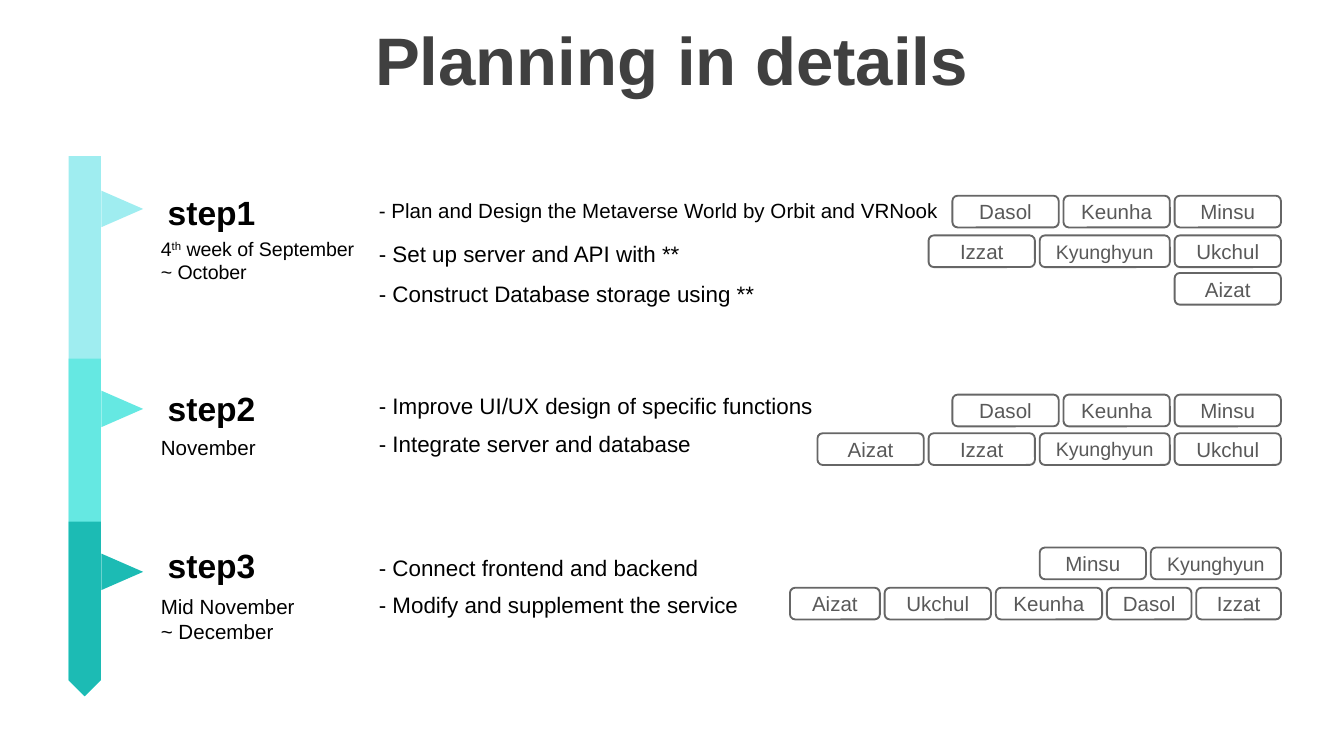
from pptx import Presentation
from pptx.dml.color import RGBColor
from pptx.enum.shapes import MSO_SHAPE
from pptx.enum.text import MSO_ANCHOR, PP_ALIGN
from pptx.util import Cm, Pt

COLORS = {
    "title": "404040", "text": "000000", "chip_fill": "FFFFFF",
    "chip_line": "666666", "chip_text": "595959",
    "light": "9FEDF0", "medium": "65E8E2", "dark": "1CBBB4",
}

# Vertical positions and sizes are in centimetres, font sizes in points.
# Each date line is a list of (words, is superscript); each task is (words, top, size);
# each chip row is (top, names), with a width after a name that is not the usual one.
TITLE = "Planning in details"
STEPS = [
    {
        "name": "step1", "top": 3.53, "color": "light", "bar": 10.21, "pointer": 3.95,
        "date": [[("4", False), ("th", True), (" week of September", False)],
                 [("~ October", False)]],
        "date_top": 4.45, "date_size": 10.5,
        "tasks": [
            ("- Plan and Design the Metaverse World by Orbit and VRNook", 3.51, 11),
            ("- Set up server and API with **", 4.32, 12),
            ("- Construct Database storage using **", 5.08, 12),
        ],
        "chip_rows": [
            (3.7, ["Dasol", "Keunha", "Minsu"]),
            (4.45, ["Izzat", "Kyunghyun", "Ukchul"]),
            (5.16, ["Aizat"]),
        ],
    },
    {
        "name": "step2", "top": 7.24, "color": "medium", "bar": 6.38, "pointer": 7.73,
        "date": [[("November", False)]],
        "date_top": 7.98, "date_size": 11,
        "tasks": [
            ("- Improve UI/UX design of specific functions", 7.19, 12),
            ("- Integrate server and database", 7.92, 12),
        ],
        "chip_rows": [
            (7.46, ["Dasol", "Keunha", "Minsu"]),
            (8.19, ["Aizat", "Izzat", "Kyunghyun", "Ukchul"]),
        ],
    },
    {
        "name": "step3", "top": 10.21, "color": "dark", "bar": 3.3, "pointer": 10.81,
        "date": [[("Mid November", False)], [("~ December", False)]],
        "date_top": 11.23, "date_size": 11,
        "tasks": [
            ("- Connect frontend and backend", 10.26, 12),
            ("- Modify and supplement the service", 10.95, 12),
        ],
        "chip_rows": [
            (10.35, ["Minsu", "Kyunghyun"]),
            (11.11, [("Aizat", 1.7), "Ukchul", "Keunha", ("Dasol", 1.6), ("Izzat", 1.6)]),
        ],
    },
]

BAR_CENTER, BAR_BOTTOM, BAR_WIDTH = 1.6, 13.16, 0.61
POINTER_CENTER, POINTER_BASE, POINTER_LENGTH = 2.31, 0.69, 0.79
STEP_LEFT, DATE_LEFT, TASK_LEFT = 2.92, 2.79, 6.91
LABEL_HEIGHT = 0.94
CHIP_RIGHT, CHIP_GAP, CHIP_HEIGHT, CHIP_WIDTH = 24.21, 0.09, 0.6, 2.01
LONG_NAME_WIDTH = 2.46

deck = Presentation()
deck.slide_width, deck.slide_height = Cm(25.4), Cm(14.29)
slide = deck.slides.add_slide(deck.slide_layouts[6])


def rgb(name):
    """Return the palette colour with this name."""
    return RGBColor.from_string(COLORS[name])


def write(shape, lines, size, color="text", bold=False, align=PP_ALIGN.LEFT, inset=None):
    """Fill a shape with lines made of (words, is superscript) pieces."""
    frame = shape.text_frame
    layout = {"word_wrap": True, "vertical_anchor": MSO_ANCHOR.MIDDLE}
    if inset is not None:
        layout.update(dict.fromkeys(
            ("margin_left", "margin_right", "margin_top", "margin_bottom"), Cm(inset)))
    for key, value in layout.items():
        setattr(frame, key, value)
    for index, pieces in enumerate(lines):
        paragraph = frame.add_paragraph() if index else frame.paragraphs[0]
        paragraph.alignment = align
        for words, raised in pieces:
            run = paragraph.add_run()
            run.text = words
            for key, value in {"name": "Arial", "size": Pt(size), "bold": bold}.items():
                setattr(run.font, key, value)
            run.font.color.rgb = rgb(color)
            if raised:
                run._r.get_or_add_rPr().set("baseline", "30000")


def add_label(left, top, width, lines, size, height=LABEL_HEIGHT, **style):
    """Add a text box."""
    label = slide.shapes.add_textbox(Cm(left), Cm(top), Cm(width), Cm(height))
    write(label, lines, size, **style)


def add_block(kind, left, top, width, height, fill, line=None):
    """Add a flat preset shape, outlined only when a line colour is given."""
    block = slide.shapes.add_shape(kind, Cm(left), Cm(top), Cm(width), Cm(height))
    block.shadow.inherit = False
    block.fill.solid()
    block.fill.fore_color.rgb = rgb(fill)
    if line:
        block.line.color.rgb = rgb(line)
        block.line.width = Pt(1)
    else:
        block.line.fill.background()
    return block


def add_turned(kind, center_x, center_y, width, height, fill):
    """Add a shape turned a quarter clockwise around its centre."""
    turned = add_block(kind, center_x - width / 2, center_y - height / 2,
                       width, height, fill)
    turned.rotation = 90


def add_chip_row(top, names):
    """Lay out name chips from the right edge to the left."""
    right = CHIP_RIGHT
    for entry in reversed(names):
        is_long = entry == "Kyunghyun"
        usual = LONG_NAME_WIDTH if is_long else CHIP_WIDTH
        name, width = (entry, usual) if isinstance(entry, str) else entry
        chip = add_block(MSO_SHAPE.ROUNDED_RECTANGLE, right - width, top,
                         width, CHIP_HEIGHT, "chip_fill", "chip_line")
        write(chip, [[(name, False)]], 10.5 if is_long else 11,
              color="chip_text", align=PP_ALIGN.CENTER, inset=0)
        right -= width + CHIP_GAP


add_label(0, 0.03, 25.4, [[(TITLE, False)]], 36, height=2.16,
          color="title", bold=True, align=PP_ALIGN.CENTER)

for step in STEPS:
    add_turned(MSO_SHAPE.PENTAGON, BAR_CENTER, BAR_BOTTOM - step["bar"] / 2,
               step["bar"], BAR_WIDTH, step["color"])

for step in STEPS:
    add_turned(MSO_SHAPE.ISOSCELES_TRIANGLE, POINTER_CENTER, step["pointer"],
               POINTER_BASE, POINTER_LENGTH, step["color"])
    add_label(STEP_LEFT, step["top"], 3.4, [[(step["name"], False)]], 18, bold=True)
    add_label(DATE_LEFT, step["date_top"], 4.39, step["date"], step["date_size"])
    for task, top, size in step["tasks"]:
        add_label(TASK_LEFT, top, 12.19, [[(task, False)]], size)
    for top, names in step["chip_rows"]:
        add_chip_row(top, names)

deck.save("out.pptx")
